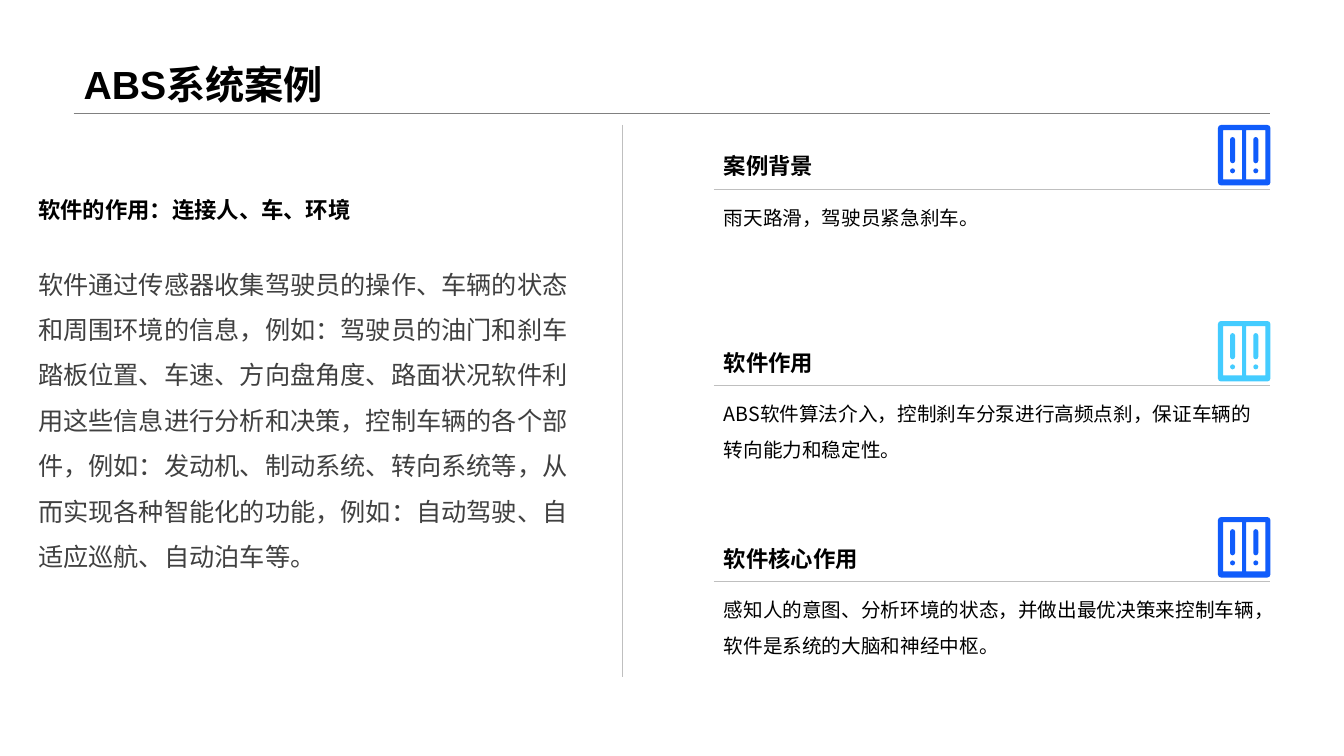
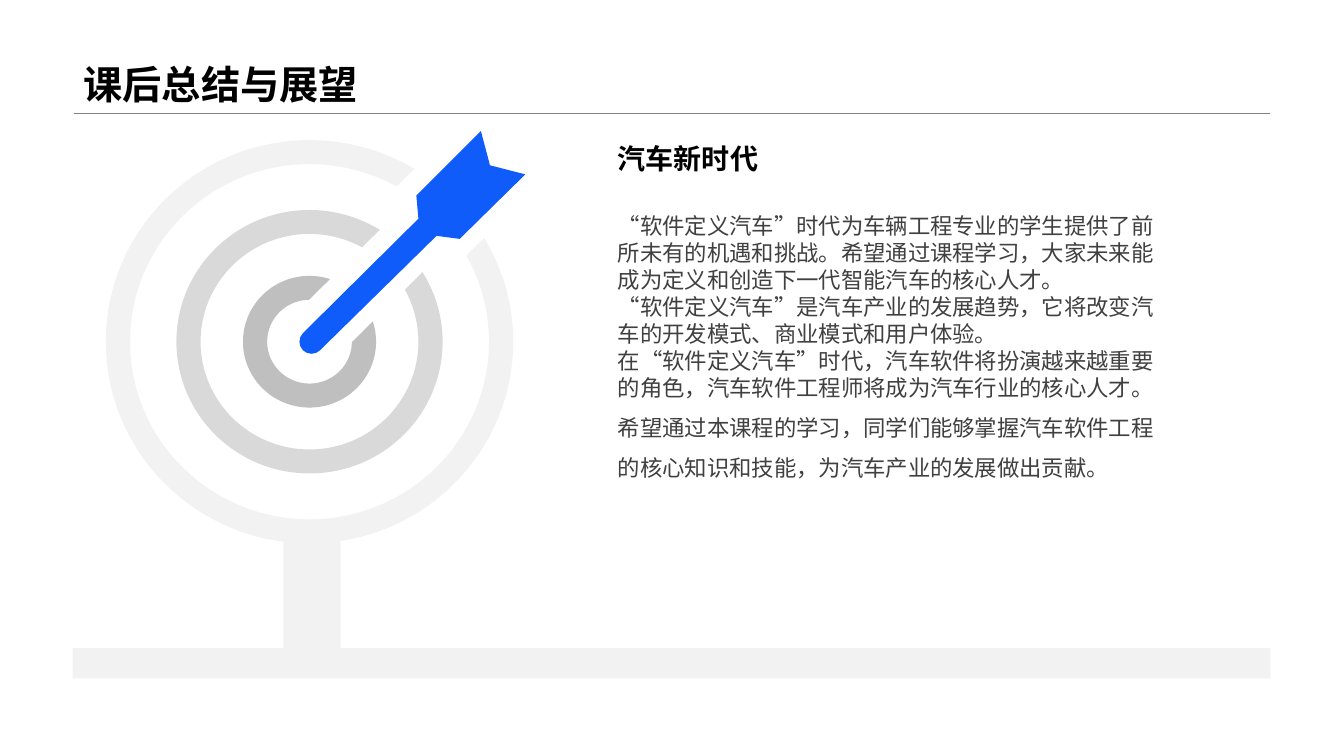
from math import asin, cos, degrees, dist, radians, sin, tan
from lxml.etree import SubElement
from pptx import Presentation
from pptx.dml.color import RGBColor as Rgb
from pptx.enum.lang import MSO_LANGUAGE_ID as Lang
from pptx.enum.shapes import MSO_CONNECTOR as Conn, MSO_SHAPE as Shape
from pptx.enum.text import MSO_ANCHOR as Anchor, MSO_AUTO_SIZE as Fit, PP_ALIGN as Align
from pptx.oxml.ns import qn
from pptx.util import Inches, Pt

HUES = {
    "black": "000000", "text": "404040", "rule": "808080", "thin": "BFBFBF",
    "blue": "105CFB", "sky": "44CCFF", "pale": "F2F2F2", "mid": "D9D9D9",
}
SANS = "Noto Sans CJK SC"
LEFT, RIGHT = 0.73, 12.6


def hue(name):
    return Rgb.from_string(HUES[name])


def write(shape, *texts, size=16, color="black", bold=False, font=SANS,
          anchor=Anchor.TOP, gaps=(1.0,), fit=Fit.SHAPE_TO_FIT_TEXT):
    frame = shape.text_frame
    frame.word_wrap = True
    frame.auto_size = fit
    frame.vertical_anchor = anchor
    for i, text in enumerate(texts):
        para = frame.add_paragraph() if i else frame.paragraphs[0]
        para.alignment = Align.LEFT
        para.line_spacing = gaps[min(i, len(gaps) - 1)]
        run = para.add_run()
        run.text = text
        face = run.font
        face.size, face.bold, face.name = Pt(size), bold, font
        face.color.rgb = hue(color)
        face.language_id = Lang.SIMPLIFIED_CHINESE
        SubElement(run._r.get_or_add_rPr(), qn("a:ea"), typeface=SANS)


def label(slide, x, y, w, h, *texts, **style):
    box = slide.shapes.add_textbox(Inches(x), Inches(y), Inches(w), Inches(h))
    write(box, *texts, **style)


def rule(slide, x1, y1, x2, y2, color="thin"):
    line = slide.shapes.add_connector(
        Conn.STRAIGHT, Inches(x1), Inches(y1), Inches(x2), Inches(y2))
    line.line.color.rgb = hue(color)
    line.line.width = Pt(0.25)
    SubElement(line._element.spPr, qn("a:effectLst"))
    return line


def paint(shape, color):
    shape.shadow.inherit = False
    shape.fill.solid()
    shape.fill.fore_color.rgb = hue(color)
    shape.line.fill.background()


def block(slide, x, y, w, h, color):
    paint(slide.shapes.add_shape(
        Shape.RECTANGLE, Inches(x), Inches(y), Inches(w), Inches(h)), color)


def bend(shape, sizes):
    lines = list(shape._element.iter(qn("a:lnTo")))
    for size in sizes:
        first, *others = lines[:size]
        lines = lines[size:]
        if others:
            first.tag = qn("a:cubicBezTo")
        for line in others:
            first.append(line[0])
            line.getparent().remove(line)


def draw(slide, loops, color):
    pen, sizes = None, []
    for loop in loops:
        last = loop[0][0]
        begin = [Inches(v) for v in last]
        if pen is None:
            pen = slide.shapes.build_freeform(*begin)
        else:
            pen.move_to(*begin)
        spots = []
        for part in loop[1:]:
            if len(part) > 1 or dist(part[0], last) > 0.001:
                spots += [(Inches(x), Inches(y)) for x, y in part]
                sizes.append(len(part))
            last = part[-1]
        pen.add_line_segments(spots, close=True)
    shape = pen.convert_to_shape()
    bend(shape, sizes)
    paint(shape, color)


def arc(x, y, rx, ry, start, end):
    def spot(turn, pull=0):
        t = radians(turn)
        return (x + rx * (cos(t) - pull * sin(t)),
                y - ry * (sin(t) + pull * cos(t)))
    low, high = sorted((start, end))
    marks = [low] + [t for t in range(-360, 451, 90) if low < t < high] + [high]
    if start > end:
        marks.reverse()
    parts = [[spot(start)]]
    for a, b in zip(marks, marks[1:]):
        pull = 4 / 3 * tan(radians(b - a) / 4)
        parts.append([spot(a, pull), spot(b, -pull), spot(b)])
    return parts


def panel(x, y, w, h, r=0):
    if not r:
        return [[(x, y)], [(x + w, y)], [(x + w, y + h)], [(x, y + h)]]
    ends = [(x + w - r, y + r, 90), (x + w - r, y + h - r, 0),
            (x + r, y + h - r, -90), (x + r, y + r, -180)]
    return [p for cx, cy, t in ends for p in arc(cx, cy, r, r, t, t - 90)]


def icon(slide, x, y, color):
    loops = [panel(x, y, 0.52, 0.6, 0.03)]
    for door in (x + 0.05, x + 0.28):
        loops += [panel(door, y + 0.05, 0.19, 0.49),
                  panel(door + 0.07, y + 0.12, 0.05, 0.26, 0.025),
                  panel(door + 0.07, y + 0.43, 0.05, 0.05, 0.025)]
    draw(slide, loops, color)


def topic(slide, x, y, w, head, text, color):
    label(slide, x, y + 0.64, w, 0.77, text, size=14, gaps=(1.5,))
    label(slide, x, y + 0.22, w, 0.37, head, bold=True, anchor=Anchor.BOTTOM)
    rule(slide, x, y + 0.64, x + w, y + 0.64)
    icon(slide, x + w - 0.52, y, color)


def ring(slide, x, y, outer, inner, gap, color):
    def side(r, back=False):
        cut = degrees(asin(gap / r))
        ends = (45 + cut, 405 - cut)
        return arc(x, y, r, r * 0.99, *(ends[::-1] if back else ends))
    draw(slide, [side(outer) + side(inner, True)], color)


def dart(slide, x, y):
    tail = [(1.08, -1.22), (1.06, -1.45), (1.7, -2.09), (1.79, -1.75),
            (2.14, -1.66), (1.49, -1.02), (1.26, -1.05)]
    tip = arc(x + 0.02, y, 0.12, 0.12, -45, -225)
    draw(slide, [[[(x + dx, y + dy)] for dx, dy in tail] + tip], "blue")


def target(slide, x, y):
    block(slide, x - 0.26, y + 1.96, 0.57, 1.08, "pale")
    dart(slide, x, y)
    for args in ((1.32, 1.08, 0.3, "mid"), (0.66, 0.42, 0.3, "thin"),
                 (2.02, 1.78, 0.49, "pale")):
        ring(slide, x, y, *args)


def frame(layout, slide):
    title = next(p for p in layout.placeholders if p.placeholder_format.idx == 0)
    title.left, title.top = Inches(LEFT), Inches(0)
    title.width, title.height = Inches(RIGHT - LEFT), Inches(1.12)
    line = rule(slide, LEFT, 1.12, RIGHT, 1.12, "rule")
    layout.shapes.element.append(line._element)


def start(deck, text):
    layout = deck.slide_layouts.get_by_name("Title Only")
    slide = deck.slides.add_slide(layout)
    if len(deck.slides) == 1:
        frame(layout, slide)
    write(slide.shapes.title, text, size=28, bold=True, font="Arial",
          anchor=Anchor.BOTTOM, gaps=(0.9,), fit=Fit.NONE)
    return slide


def case(deck):
    slide = start(deck, "ABS系统案例")
    topics = [
        ("案例背景", "雨天路滑，驾驶员紧急刹车。", "blue"),
        ("软件作用", "ABS软件算法介入，控制刹车分泵进行高频点刹，保证车辆的转向能力和稳定性。", "sky"),
        ("软件核心作用", "感知人的意图、分析环境的状态，并做出最优决策来控制车辆，软件是系统的大脑和神经中枢。", "blue"),
    ]
    for i, args in enumerate(topics):
        topic(slide, 7.08, 1.24 + i * 3.89 / 2, RIGHT - 7.08, *args)
    rule(slide, 6.17, 1.24, 6.17, 6.72)
    label(slide, 0.28, 1.89, 5.52, 0.37, "软件的作用：连接人、车、环境",
          bold=True, anchor=Anchor.BOTTOM)
    label(slide, 0.28, 2.47, 5.52, 3.23,
          "软件通过传感器收集驾驶员的操作、车辆的状态和周围环境的信息，"
          "例如：驾驶员的油门和刹车踏板位置、车速、方向盘角度、路面状况"
          "软件利用这些信息进行分析和决策，控制车辆的各个部件，"
          "例如：发动机、制动系统、转向系统等，从而实现各种智能化的功能，"
          "例如：自动驾驶、自适应巡航、自动泊车等。",
          size=18, color="text", gaps=(1.5,))


def outlook(deck):
    slide = start(deck, "课后总结与展望")
    block(slide, 0.72, 6.43, 11.88, 0.3, "pale")
    target(slide, 3.07, 3.39)
    label(slide, 6.03, 2.06, 5.56, 3.69,
          "“软件定义汽车”时代为车辆工程专业的学生提供了前所未有的机遇和挑战。"
          "希望通过课程学习，大家未来能成为定义和创造下一代智能汽车的核心人才。",
          "“软件定义汽车”是汽车产业的发展趋势，它将改变汽车的开发模式、商业模式和用户体验。",
          "在“软件定义汽车”时代，汽车软件将扮演越来越重要的角色，"
          "汽车软件工程师将成为汽车行业的核心人才。",
          "希望通过本课程的学习，同学们能够掌握汽车软件工程的核心知识和技能，"
          "为汽车产业的发展做出贡献。",
          color="text", gaps=(1.0, 1.0, 1.0, 1.5))
    label(slide, 6.03, 1.35, 5.46, 0.44, "汽车新时代",
          size=20, bold=True, anchor=Anchor.BOTTOM)


def main():
    deck = Presentation()
    deck.slide_width, deck.slide_height = Inches(13.33), Inches(7.5)
    case(deck)
    outlook(deck)
    deck.save("out.pptx")


if __name__ == "__main__":
    main()
